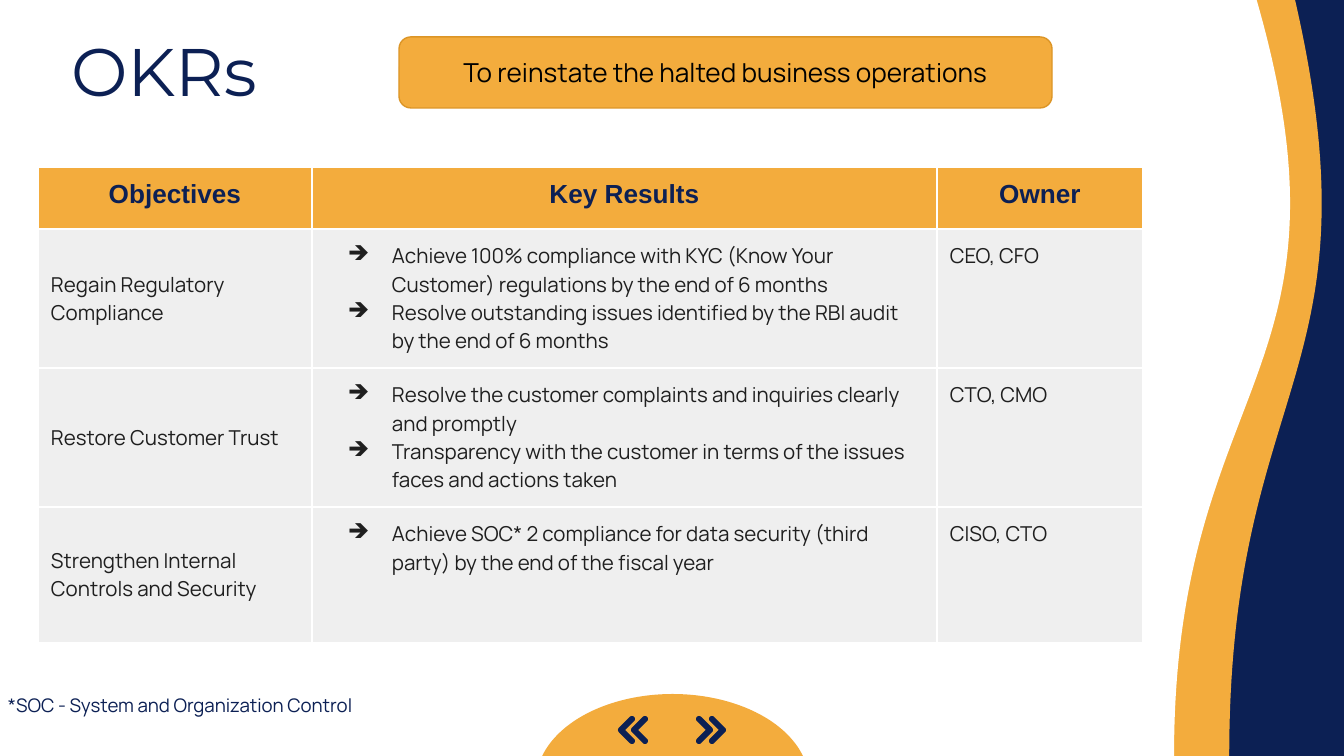
"""Build the OKRs slide: a wavy frame, a goal banner, a results table and navigation arrows."""
import math
from dataclasses import dataclass

import pptx
import pptx.dml.color
import pptx.enum.shapes
import pptx.enum.text
import pptx.oxml
import pptx.oxml.ns
import pptx.util

TITLE = "OKRs"
GOAL = "To reinstate the halted business operations"
FOOTNOTE = "*SOC - System and Organization Control"
HEADERS = ["Objectives", "Key Results", "Owner"]
OKRS = [
    ("Regain Regulatory Compliance",
     ["Achieve 100% compliance with KYC (Know Your Customer) regulations by the end of 6 months",
      "Resolve outstanding issues identified by the RBI audit by the end of 6 months"],
     "CEO, CFO"),
    ("Restore Customer Trust",
     ["Resolve the customer complaints and inquiries clearly and promptly",
      "Transparency with the customer in terms of the issues faces and actions taken"],
     "CTO, CMO"),
    ("Strengthen Internal Controls and Security",
     ["Achieve SOC* 2 compliance for data security (third party) by the end of the fiscal year"],
     "CISO, CTO"),
]


@dataclass(frozen=True)
class Theme:
    navy: str = "0C2054"
    orange: str = "F3AC3D"
    edge: str = "DC9526"
    white: str = "FFFFFF"
    grey: str = "EFEFEF"
    ink: str = "1F1F1F"
    black: str = "000000"
    display: str = "Montserrat"
    heading: str = "Arial"
    body: str = "Manrope"
    title_size: int = 36
    head_size: int = 14
    cell_size: int = 11
    note_size: int = 10


T = Theme()
PX = 914400 / 134.4
WIDTH, HEIGHT = 1344, 756
INSET = 13
WAVES = [(829, 499, T.orange), (0, 1005, T.white), (672, 626, T.white)]
COLS, ROWS = [274, 625, 206], [62, 136, 136, 136]
SHAPE = pptx.enum.shapes.MSO_SHAPE
ALIGN = pptx.enum.text.PP_ALIGN
MIDDLE = pptx.enum.text.MSO_ANCHOR.MIDDLE


def px(*lengths):
    return [pptx.util.Emu(round(n * PX)) for n in lengths]


def rgb(color):
    return pptx.dml.color.RGBColor.from_string(color)


def paint(shape, color):
    shape.shadow.inherit = False
    shape.fill.solid()
    shape.fill.fore_color.rgb = rgb(color)
    shape.line.fill.background()


def add_shape(s, kind, box, color):
    sp = s.shapes.add_shape(kind, *px(*box))
    paint(sp, color)
    return sp


def add_wave(s, left, width, color):
    box = (left + (width - HEIGHT) / 2, (HEIGHT - width) / 2, HEIGHT, width)
    sp = add_shape(s, SHAPE.FLOWCHART_DOCUMENT, box, color)
    sp.rotation = 270
    sp.element.spPr.xfrm.set("flipH", "1")


def set_insets(target):
    inset = px(INSET)[0]
    target.margin_left = target.margin_right = inset
    target.margin_top = target.margin_bottom = inset


def write(tf, text, font, size, color, align=ALIGN.LEFT, bold=False):
    tf.text = text
    for p in tf.paragraphs:
        p.alignment = align
        for r in p.runs:
            r.font.name, r.font.size, r.font.bold = font, pptx.util.Pt(size), bold
            r.font.color.rgb = rgb(color)


def xml(source):
    head, tail = source.split(">", 1) if not source.endswith("/>") else (source[:-2], None)
    head += " " + pptx.oxml.ns.nsdecls("a")
    return pptx.oxml.parse_xml(head + ("/>" if tail is None else ">" + tail))


def add_bullets(tf):
    indent, hang = px(67, -44)
    for p in tf.paragraphs:
        pPr = p._p.get_or_add_pPr()
        pPr.set("marL", str(indent))
        pPr.set("indent", str(hang))
        pPr.append(xml(f'<a:buClr><a:srgbClr val="{T.ink}"/></a:buClr>'))
        pPr.append(xml('<a:buChar char="➔"/>'.replace("/>", "></a:buChar>")))


def style_cell(cell, color):
    set_insets(cell)
    cell.fill.solid()
    cell.fill.fore_color.rgb = rgb(color)
    tcPr = cell._tc.get_or_add_tcPr()
    for i, side in enumerate("LRTB"):
        tcPr.insert(i, xml(f'<a:ln{side} w="9525"><a:solidFill><a:srgbClr val="{T.white}"/>'
                           f'</a:solidFill></a:ln{side}>'))


def add_okr_table(s):
    frame = s.shapes.add_table(len(ROWS), len(COLS), *px(38, 167, sum(COLS), sum(ROWS)))
    table = frame.table
    table.horz_banding = False
    for column, width in zip(table.columns, px(*COLS)):
        column.width = width
    for row, height in zip(table.rows, px(*ROWS)):
        row.height = height
    for cell, text in zip(table.rows[0].cells, HEADERS):
        style_cell(cell, T.orange)
        write(cell.text_frame, text, T.heading, T.head_size, T.navy, ALIGN.CENTER, True)
    for i, (objective, results, owner) in enumerate(OKRS, 1):
        cells = list(table.rows[i].cells)
        for cell, text in zip(cells, (objective, "\n".join(results), owner)):
            style_cell(cell, T.grey)
            write(cell.text_frame, text, T.body, T.cell_size, T.ink)
        cells[0].vertical_anchor = MIDDLE
        add_bullets(cells[1].text_frame)


def chevron_points(radius=3, reach=11):
    points = []
    ends = [((radius, radius), 135, 315), ((radius + reach, radius + reach), -45, 45),
            ((radius, radius + 2 * reach), 45, 225)]
    for (x, y), first, last in ends:
        for angle in range(first, last + 1, 15):
            a = math.radians(angle)
            points.append((x + radius * math.cos(a), y + radius * math.sin(a)))
    points.append((radius + reach - radius * math.sqrt(2), radius + reach))
    return points


def add_arrows(s, direction):
    group = s.shapes.add_group_shape()
    for offset in (24, 37):
        points = [px(WIDTH / 2 + direction * (offset + x), 716 + y) for x, y in chevron_points()]
        builder = group.shapes.build_freeform(*points[0], scale=1.0)
        builder.add_line_segments(points[1:], close=True)
        paint(builder.convert_to_shape(), T.navy)


def main():
    prs = pptx.Presentation()
    prs.slide_width, prs.slide_height = px(WIDTH, HEIGHT)
    s = prs.slides.add_slide(prs.slide_layouts[5])
    s.background.fill.solid()
    s.background.fill.fore_color.rgb = rgb(T.navy)
    for wave in WAVES:
        add_wave(s, *wave)

    title = s.shapes.title
    title.element.getparent().append(title.element)
    title.left, title.top, title.width, title.height = px(58, 34, 1133, 71)
    tf = title.text_frame
    tf.auto_size = pptx.enum.text.MSO_AUTO_SIZE.NONE
    tf.vertical_anchor = MIDDLE
    set_insets(tf)
    write(tf, TITLE, T.display, T.title_size, T.navy)

    dome = add_shape(s, SHAPE.PIE, (536, 694, 273, 176), T.orange)
    dome.adjustments[0], dome.adjustments[1] = 0, 108
    dome.rotation = 180
    dome.element.spPr.xfrm.set("flipH", "1")
    for direction in (1, -1):
        add_arrows(s, direction)

    add_okr_table(s)

    banner = add_shape(s, SHAPE.ROUNDED_RECTANGLE, (399, 37, 653, 71), T.orange)
    banner.line.color.rgb = rgb(T.edge)
    banner.line.width = pptx.util.Pt(0.75)
    banner.text_frame.vertical_anchor = MIDDLE
    set_insets(banner.text_frame)
    write(banner.text_frame, GOAL, T.body, T.head_size, T.black, ALIGN.CENTER)

    note = s.shapes.add_textbox(*px(-5, 683, 574, 52))
    note.text_frame.word_wrap = True
    set_insets(note.text_frame)
    write(note.text_frame, FOOTNOTE, T.body, T.note_size, T.navy)
    prs.save("out.pptx")


if __name__ == "__main__":
    main()
